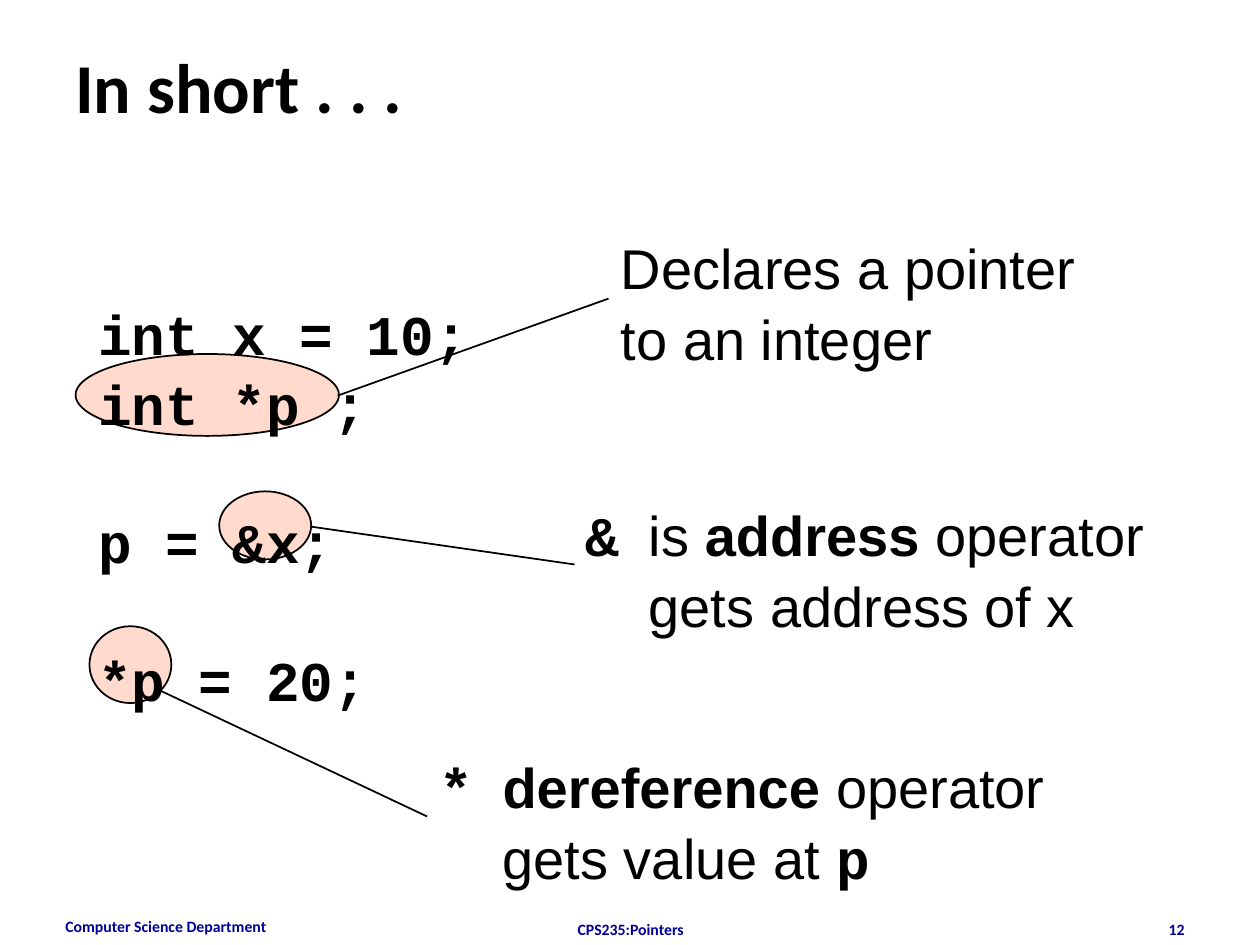
import pptx
import pptx.dml.color
import pptx.enum.shapes
import pptx.enum.text
import pptx.oxml.ns
import pptx.util
from lxml import etree

BLACK = pptx.dml.color.RGBColor(0x00, 0x00, 0x00)
NAVY = pptx.dml.color.RGBColor(0x00, 0x00, 0x99)
PEACH = pptx.dml.color.RGBColor(0xFF, 0xDA, 0xCD)
ALIGN = pptx.enum.text.PP_ALIGN
HEADING, BODY, CODE = "Calibri", "Arial", "Courier New"
COLUMNS, ROWS = 100, 75


class Sheet:
    def __init__(self, deck):
        self.page = deck.slides.add_slide(deck.slide_layouts[6])
        self.column = deck.slide_width / COLUMNS
        self.row = deck.slide_height / ROWS
        self.body_size = 32
        self.body_spacing = 1.05
        self.hang = pptx.util.Inches(0.5)

    def place(self, x, y):
        return round(x * self.column), round(y * self.row)

    def text_box(self, x, y, width, height, wrap=True):
        box = self.page.shapes.add_textbox(*self.place(x, y), *self.place(width, height))
        box.text_frame.word_wrap = wrap
        return box.text_frame

    def span(self, para, text, font, size, color=BLACK, bold=False):
        span = para.add_run()
        span.text = text
        span.font.name = font
        span.font.size = pptx.util.Pt(size)
        span.font.bold = bold
        span.font.color.rgb = color

    def label(self, x, y, width, height, text, size, color, align=ALIGN.LEFT):
        para = self.text_box(x, y, width, height).paragraphs[0]
        para.alignment = align
        self.span(para, text, HEADING, size, color, True)

    def lines(self, x, y, width, height, lines, gaps=(), hanging=False):
        frame = self.text_box(x, y, width, height, wrap=False)
        for index, line in enumerate(lines):
            para = frame.add_paragraph() if index else frame.paragraphs[0]
            para.line_spacing = self.body_spacing
            if index in gaps:
                para.space_before = pptx.util.Pt(1.2 * self.body_size)
            if hanging:
                properties = para._p.get_or_add_pPr()
                properties.set("marL", str(self.hang))
                properties.set("indent", str(0 if index else -self.hang))
            for text, font, bold in line:
                self.span(para, text, font, self.body_size, bold=bold)

    def ellipse(self, x, y, width, height):
        shape = self.page.shapes.add_shape(
            pptx.enum.shapes.MSO_SHAPE.OVAL, *self.place(x, y), *self.place(width, height))
        shape.shadow.inherit = False
        shape.fill.solid()
        shape.fill.fore_color.rgb = PEACH
        self.outline(shape)

    def pointer(self, start, end):
        line = self.page.shapes.add_connector(
            pptx.enum.shapes.MSO_CONNECTOR.STRAIGHT, *self.place(*start), *self.place(*end))
        self.outline(line)
        etree.SubElement(line._element.spPr, pptx.oxml.ns.qn("a:effectLst"))

    def outline(self, shape):
        shape.line.color.rgb = BLACK
        shape.line.width = pptx.util.Pt(1)


def main():
    deck = pptx.Presentation()
    deck.slide_width = pptx.util.Inches(10)
    deck.slide_height = pptx.util.Inches(7.5)
    sheet = Sheet(deck)

    sheet.label(4.2, 72.3, 23.3, 2.7, "Computer Science Department", 9, NAVY)
    sheet.label(34.2, 72.5, 31.7, 1, "CPS235:Pointers", 9, NAVY, ALIGN.CENTER)
    sheet.label(71.7, 72.5, 23.3, 1, "12", 9, NAVY, ALIGN.RIGHT)

    for ellipse in ((6, 28.1, 20.9, 6.5), (17.4, 39, 7.3, 5.4), (7.1, 49.7, 6.5, 6.1)):
        sheet.ellipse(*ellipse)

    sheet.label(5, 3, 90, 12.5, "In short . . .", 40, BLACK)

    code = ("int x = 10;", "int *p ;", "p = &x;", "*p = 20;")
    sheet.lines(6.8, 23, 31.4, 33, [[(text, CODE, True)] for text in code], gaps=(2, 3))

    sheet.lines(48.3, 17.8, 39.4, 11.7, [
        [("Declares a pointer", BODY, False)],
        [("to an integer", BODY, False)],
    ])
    sheet.lines(45.5, 39, 46.5, 11.7, [
        [("&", CODE, True), ("\tis ", BODY, False), ("address", BODY, True),
         (" operator", BODY, False)],
        [("gets address of x", BODY, False)],
    ], hanging=True)
    sheet.lines(33.9, 59, 50.2, 11.7, [
        [("*\t", CODE, True), ("dereference", BODY, True), (" operator", BODY, False)],
        [("gets value at ", BODY, False), ("p", CODE, True)],
    ], hanging=True)

    for start, end in (((48.3, 23.7), (26.8, 31.4)),
                       ((45.6, 44.8), (24.7, 41.8)),
                       ((12.7, 54.8), (33.9, 64.8))):
        sheet.pointer(start, end)

    deck.save("out.pptx")


if __name__ == "__main__":
    main()
